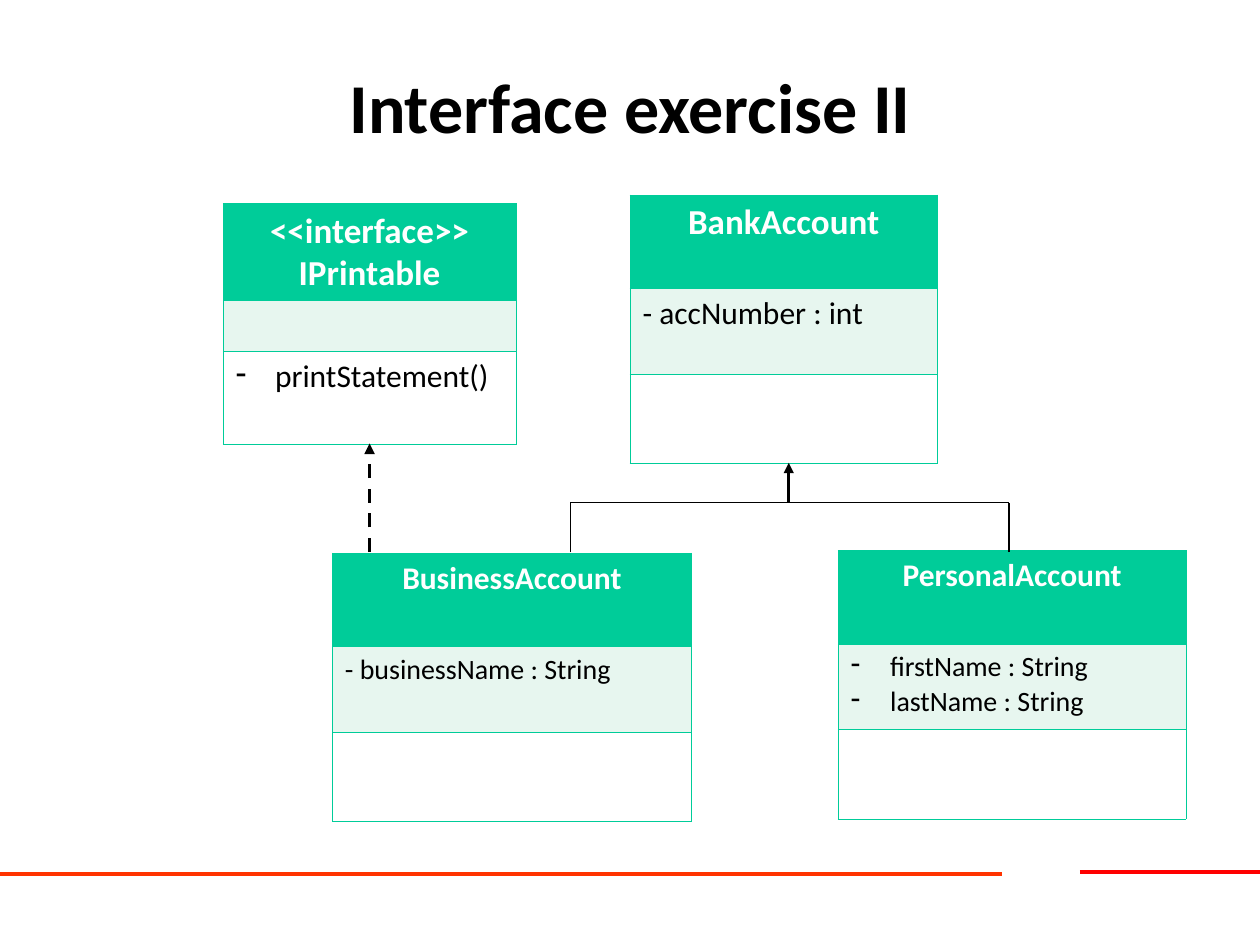
from lxml import etree
from pptx import Presentation
from pptx.dml.color import RGBColor
from pptx.enum.dml import MSO_LINE
from pptx.enum.shapes import MSO_CONNECTOR
from pptx.enum.text import MSO_ANCHOR, PP_ALIGN
from pptx.oxml.ns import qn
from pptx.util import Cm, Pt

STRAIGHT = MSO_CONNECTOR.STRAIGHT
DASH = MSO_LINE.DASH
MIDDLE = MSO_ANCHOR.MIDDLE
CENTER = PP_ALIGN.CENTER
LEFT = PP_ALIGN.LEFT

BLACK = RGBColor(0x00, 0x00, 0x00)
WHITE = RGBColor(0xFF, 0xFF, 0xFF)
GREEN = RGBColor(0x00, 0xCC, 0x99)
MINT = RGBColor(0xE7, 0xF6, 0xEF)
RED = RGBColor(0xFF, 0x00, 0x00)
ORANGE = RGBColor(0xFF, 0x33, 0x00)

FONT = "Calibri"
BORDER_WIDTH = Pt(0.45)
BULLET_INDENT = Cm(0.79)
CLASS_ROWS = (1.88, 1.73, 1.8)
INTERFACE_ROWS = (1.96, 1.02, 1.88)


def format_text(text_frame, size, color, bold, align):
    for paragraph in text_frame.paragraphs:
        paragraph.alignment = align
        for run in paragraph.runs:
            run.font.name = FONT
            run.font.size = Pt(size)
            run.font.bold = bold
            run.font.color.rgb = color


def add_dash_bullets(text_frame):
    for paragraph in text_frame.paragraphs:
        properties = paragraph._p.get_or_add_pPr()
        properties.set("marL", str(BULLET_INDENT))
        properties.set("indent", str(-BULLET_INDENT))
        etree.SubElement(properties, qn("a:buChar"), char="-")


def add_borders(cell):
    properties = cell._tc.get_or_add_tcPr()
    for side in ("a:lnL", "a:lnR", "a:lnT", "a:lnB"):
        border = etree.SubElement(properties, qn(side), w=str(BORDER_WIDTH))
        fill = etree.SubElement(border, qn("a:solidFill"))
        etree.SubElement(fill, qn("a:srgbClr"), val=str(GREEN))


def add_title(slide, text):
    title = slide.shapes.add_textbox(Cm(1.9), Cm(0.53), Cm(21.6), Cm(3.18))
    frame = title.text_frame
    frame.word_wrap = True
    frame.vertical_anchor = MIDDLE
    frame.text = text
    format_text(frame, 40, BLACK, True, CENTER)


def add_class(slide, left, top, width, row_heights, heading, heading_size,
              fields="", methods="", member_size=18, bulleted=False):
    table = slide.shapes.add_table(
        len(row_heights), 1, Cm(left), Cm(top), Cm(width), Cm(sum(row_heights))
    ).table
    table.columns[0].width = Cm(width)
    compartments = (
        (heading, heading_size, WHITE, True, CENTER, GREEN),
        (fields, member_size, BLACK, False, LEFT, MINT),
        (methods, member_size, BLACK, False, LEFT, WHITE),
    )
    for index, (text, size, color, bold, align, fill) in enumerate(compartments):
        table.rows[index].height = Cm(row_heights[index])
        cell = table.cell(index, 0)
        add_borders(cell)
        cell.fill.solid()
        cell.fill.fore_color.rgb = fill
        if text:
            cell.text_frame.text = text
            format_text(cell.text_frame, size, color, bold, align)
            if bulleted and index > 0:
                add_dash_bullets(cell.text_frame)


def add_line(slide, start, end, width, color=BLACK, dash=None, arrow=False):
    connector = slide.shapes.add_connector(
        STRAIGHT, *(Cm(value) for value in (*start, *end)))
    connector.line.color.rgb = color
    connector.line.width = Pt(width)
    if dash:
        connector.line.dash_style = dash
    if arrow:
        etree.SubElement(connector.line._get_or_add_ln(), qn("a:tailEnd"),
                         type="triangle")
    etree.SubElement(connector._element.spPr, qn("a:effectLst"))


def main():
    presentation = Presentation()
    presentation.slide_width = Cm(25.4)
    presentation.slide_height = Cm(19.05)
    slide = presentation.slides.add_slide(presentation.slide_layouts[6])

    add_line(slide, (21.77, 17.58), (25.4, 17.58), 2.25, RED)
    add_line(slide, (0, 17.62), (20.2, 17.62), 2.25, ORANGE)
    add_title(slide, "Interface exercise II")

    add_class(slide, 6.7, 11.15, 7.24, CLASS_ROWS, "BusinessAccount", 18,
              fields="- businessName : String", member_size=16)
    add_class(slide, 4.5, 4.1, 5.9, INTERFACE_ROWS,
              "<<interface>>\nIPrintable", 20,
              methods="printStatement()", bulleted=True)
    add_class(slide, 16.9, 11.1, 7.01, CLASS_ROWS, "PersonalAccount", 18,
              fields="firstName : String\nlastName : String",
              member_size=16, bulleted=True)
    add_class(slide, 12.7, 3.93, 6.2, CLASS_ROWS, "BankAccount", 20,
              fields="- accNumber : int")

    child_top, junction = 11.13, 10.13
    business_x, bank_x, personal_x = 11.5, 15.9, 20.34
    add_line(slide, (7.45, child_top), (7.45, 8.94), 2, dash=DASH, arrow=True)
    add_line(slide, (business_x, junction), (personal_x, junction), 0.75)
    for child_x in (business_x, personal_x):
        add_line(slide, (child_x, child_top), (child_x, junction), 0.75)
    add_line(slide, (bank_x, junction), (bank_x, 9.33), 1.75, arrow=True)

    presentation.save("out.pptx")


if __name__ == "__main__":
    main()
